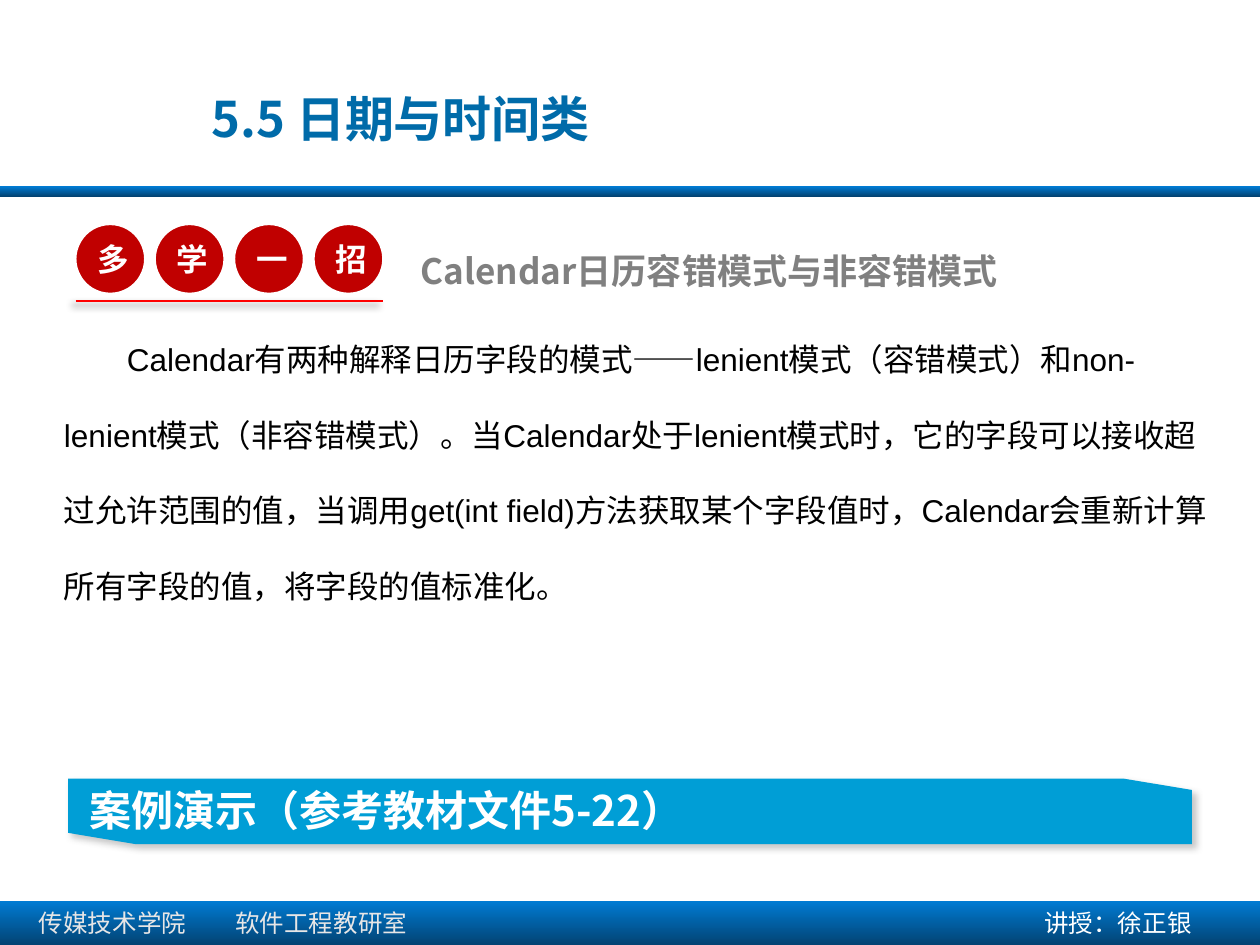
"""Build the slide on lenient and non-lenient Calendar modes."""
from lxml import etree
from pptx import Presentation
from pptx.dml.color import RGBColor
from pptx.enum.shapes import MSO_CONNECTOR, MSO_SHAPE
from pptx.enum.text import MSO_ANCHOR, PP_ALIGN
from pptx.oxml.ns import qn
from pptx.util import Inches, Pt

TOP, MIDDLE = MSO_ANCHOR.TOP, MSO_ANCHOR.MIDDLE
LEFT, CENTER = PP_ALIGN.LEFT, PP_ALIGN.CENTER
RECT, OVAL, STRAIGHT = MSO_SHAPE.RECTANGLE, MSO_SHAPE.OVAL, MSO_CONNECTOR.STRAIGHT
SANS, CJK = "Arial", "Noto Sans CJK SC"

BLACK = RGBColor(0x00, 0x00, 0x00)
WHITE = RGBColor(0xFF, 0xFF, 0xFF)
GRAY = RGBColor(0x80, 0x80, 0x80)
PALE = RGBColor(0xE7, 0xE6, 0xE6)
BAR_TOP = RGBColor(0x00, 0x7B, 0xD3)
BAR_BOTTOM = RGBColor(0x03, 0x43, 0x73)
TITLE_BLUE = RGBColor(0x00, 0x6B, 0xA9)
BANNER_BLUE = RGBColor(0x00, 0x9E, 0xD6)
DARK_RED = RGBColor(0xC0, 0x00, 0x00)
RED = RGBColor(0xFF, 0x00, 0x00)

prs = Presentation()
prs.slide_width, prs.slide_height = Inches(10), Inches(7.5)
s = prs.slides.add_slide(prs.slide_layouts[6])
COL, ROW = prs.slide_width / 100, prs.slide_height / 75


def write(sp, text, size, font, color, bold=False, align=LEFT, anchor=TOP):
    tf = sp.text_frame
    tf.word_wrap = True
    tf.vertical_anchor = anchor
    p = tf.paragraphs[0]
    p.alignment = align
    r = p.add_run()
    r.text = text
    r.font.size, r.font.bold, r.font.name = Pt(size), bold, font
    r.font.color.rgb = color
    etree.SubElement(r._r.rPr, qn("a:ea")).set("typeface", CJK)
    return p


def add_shadow(sp, color, alpha, angle):
    effects = etree.SubElement(sp._element.spPr, qn("a:effectLst"))
    outer = etree.SubElement(effects, qn("a:outerShdw"), blurRad=str(Pt(4)),
                             dist=str(Pt(3)), dir=str(angle * 60000), rotWithShape="0")
    clr = etree.SubElement(outer, qn("a:srgbClr"), val=str(color))
    etree.SubElement(clr, qn("a:alpha"), val=str(alpha * 1000))


for y, h in [(14.8, 0.8), (71.5, 3.5)]:
    sp = s.shapes.add_shape(RECT, 0, int(y * ROW), prs.slide_width, int(h * ROW))
    sp.shadow.inherit = False
    sp.line.fill.background()
    sp.fill.gradient()
    sp.fill.gradient_angle = 270
    for stop, color in zip(sp.fill.gradient_stops, (BAR_TOP, BAR_BOTTOM)):
        stop.color.rgb = color

body = ("Calendar有两种解释日历字段的模式——lenient模式（容错模式）和non-lenient模式（非容错模式）。"
        "当Calendar处于lenient模式时，它的字段可以接收超过允许范围的值，"
        "当调用get(int field)方法获取某个字段值时，Calendar会重新计算所有字段的值，将字段的值标准化。")
texts = [
    (2.1, 71.6, 37.8, 3.4, "传媒技术学院\t软件工程教研室", 14, SANS, PALE, False, TOP),
    (81.9, 71.6, 17.8, 3.4, "讲授：徐正银", 14, SANS, WHITE, False, TOP),
    (32.4, 19.3, 64.3, 4.4, "Calendar日历容错模式与非容错模式", 20, CJK, GRAY, True, TOP),
    (4.1, 23.5, 93.6, 25.2, body, 18, SANS, BLACK, False, TOP),
    (15.8, 6.3, 58.3, 6.1, "5.5 日期与时间类", 28, CJK, TITLE_BLUE, True, MIDDLE),
]
paras = []
for x, y, w, h, text, size, font, color, bold, anchor in texts:
    sp = s.shapes.add_textbox(int(x * COL), int(y * ROW), int(w * COL), int(h * ROW))
    paras.append(write(sp, text, size, font, color, bold, anchor=anchor))
footer, teacher, heading, explanation, title = paras

tabs = etree.SubElement(footer._p.get_or_add_pPr(), qn("a:tabLst"))
etree.SubElement(tabs, qn("a:tab"), pos=str(int(15.6 * COL)), algn="l")
explanation.line_spacing = 2.0
explanation._p.get_or_add_pPr().set("indent", str(int(5 * COL)))
title._p.get_or_add_pPr().set("marL", str(int(6.2 * COL)))
title._p.get_or_add_pPr().set("indent", str(int(-6.2 * COL)))

corners = [(89.2, 61.8), (94.6, 62.7), (94.6, 67), (10.8, 67), (5.4, 66.1)]
fb = s.shapes.build_freeform(int(5.4 * COL), int(61.8 * ROW))
fb.add_line_segments([(int(x * COL), int(y * ROW)) for x, y in corners], close=True)
banner = fb.convert_to_shape()
banner.fill.solid()
banner.fill.fore_color.rgb = BANNER_BLUE
banner.line.fill.background()
add_shadow(banner, GRAY, 43, 45)
write(banner, "案例演示（参考教材文件5-22）", 24, CJK, WHITE, True)
banner.text_frame.margin_left = int(1.7 * COL)

for i, char in enumerate("多学一招"):
    sp = s.shapes.add_shape(OVAL, int((6 + 6.3 * i) * COL), int(17.8 * ROW),
                            int(5.5 * COL), int(5.5 * ROW))
    sp.shadow.inherit = False
    sp.fill.solid()
    sp.fill.fore_color.rgb = DARK_RED
    sp.line.color.rgb, sp.line.width = WHITE, Pt(1)
    write(sp, char, 18, CJK, WHITE, True, CENTER, MIDDLE)
    tf = sp.text_frame
    tf.margin_left, tf.margin_right = int(0.5 * COL), 0
    tf.margin_top = tf.margin_bottom = 0

rule = s.shapes.add_connector(STRAIGHT, int(6 * COL), int(23.9 * ROW),
                              int(30.4 * COL), int(23.9 * ROW))
rule.line.color.rgb, rule.line.width = RED, Pt(1.5)
add_shadow(rule, BLACK, 40, 135)

prs.save("out.pptx")
